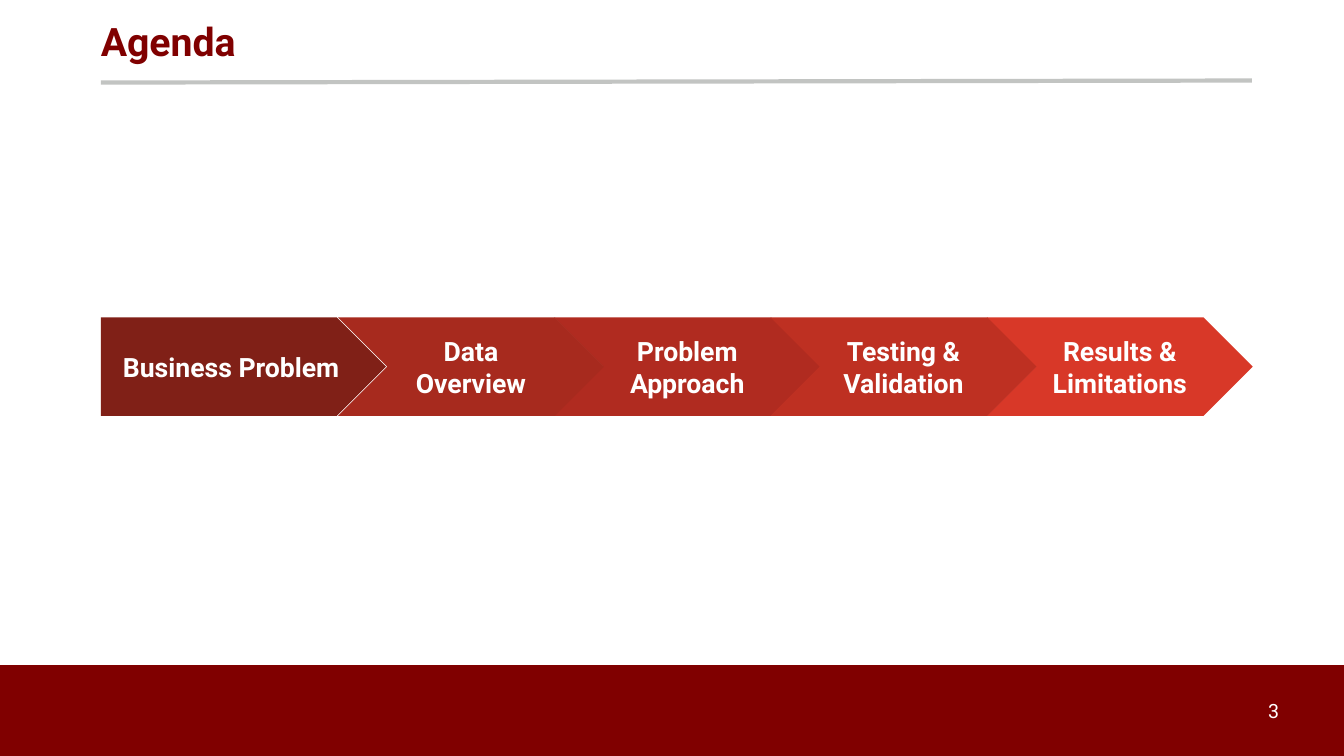
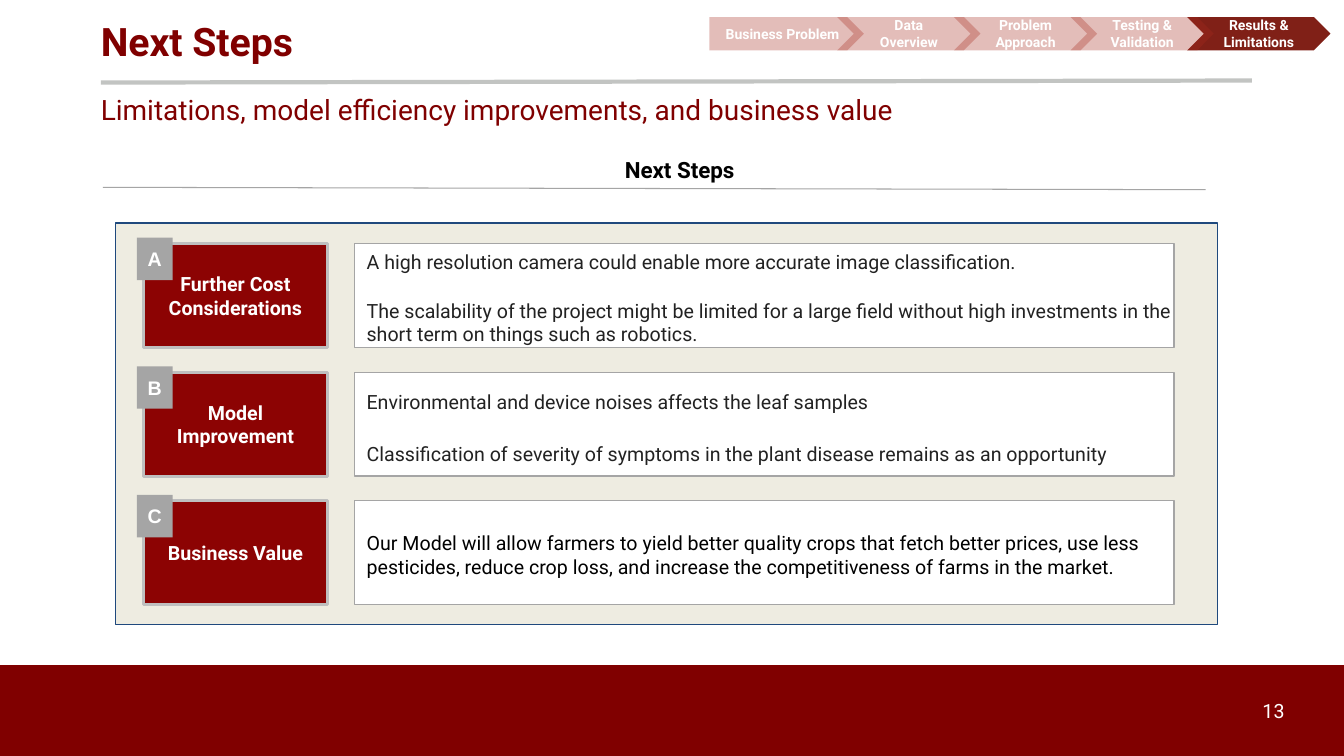
from lxml import etree
from pptx import Presentation
from pptx.dml.color import RGBColor
from pptx.enum.shapes import MSO_CONNECTOR, MSO_SHAPE
from pptx.enum.text import MSO_ANCHOR, PP_ALIGN
from pptx.oxml.ns import qn
from pptx.util import Cm, Pt

MAROON = RGBColor(0x80, 0x00, 0x00)
CRIMSON = RGBColor(0x8C, 0x03, 0x03)
WHITE = RGBColor(0xFF, 0xFF, 0xFF)
BLACK = RGBColor(0x00, 0x00, 0x00)
CHARCOAL = RGBColor(0x22, 0x22, 0x22)
RULE_GREY = RGBColor(0xC2, 0xC4, 0xC2)
EDGE_GREY = RGBColor(0xBF, 0xBF, 0xBF)
MID_GREY = RGBColor(0xA5, 0xA5, 0xA5)
CREAM = RGBColor(0xEE, 0xEC, 0xE1)
NAVY = RGBColor(0x1F, 0x49, 0x7D)
DARK_RED = RGBColor(0x80, 0x20, 0x17)
BRICK = RGBColor(0xA7, 0x2A, 0x1E)
RUST = RGBColor(0xB0, 0x2B, 0x20)
BRIGHT_RUST = RGBColor(0xBE, 0x30, 0x22)
SCARLET = RGBColor(0xD8, 0x38, 0x28)

SLIDE_WIDTH, SLIDE_HEIGHT = 33.87, 19.05
BAND_TOP = 16.76
MARGIN = 2.54

STEPS = ["Business Problem", "Data Overview", "Problem Approach",
         "Testing & Validation", "Results & Limitations"]
ROWS = [
    ("A", "Further Cost Considerations", CHARCOAL, 1.0, [
        "A high resolution camera could enable more accurate image classification.",
        "The scalability of the project might be limited for a large field without "
        "high investments in the short term on things such as robotics."]),
    ("B", "Model Improvement", CHARCOAL, 1.15, [
        "Environmental and device noises affects the leaf samples",
        "Classification of severity of symptoms in the plant disease remains as an "
        "opportunity"]),
    ("C", "Business Value", BLACK, 1.0, [
        "Our Model will allow farmers to yield better quality crops that fetch better "
        "prices, use less pesticides, reduce crop loss, and increase the "
        "competitiveness of farms in the market."]),
]


def set_all(target, formats):
    for name, value in formats.items():
        setattr(target, name, value)


def write_text(shape, paragraphs, size, color, bold=False, font="Roboto",
               align=PP_ALIGN.CENTER, anchor=MSO_ANCHOR.MIDDLE,
               insets=(0.25, 0.13, 0.25, 0.13), spacing=1.0):
    """Fill a shape with paragraphs; insets are left, top, right, bottom in cm."""
    frame = shape.text_frame
    sides = ("margin_left", "margin_top", "margin_right", "margin_bottom")
    set_all(frame, {"word_wrap": True, "vertical_anchor": anchor})
    set_all(frame, dict(zip(sides, map(Cm, insets))))
    for index, text in enumerate(paragraphs):
        para = frame.add_paragraph() if index else frame.paragraphs[0]
        set_all(para, {"alignment": align, "line_spacing": spacing})
        if index:
            para.space_before = Pt(18)
        span = para.add_run()
        span.text = text
        set_all(span.font, {"name": font, "size": Pt(size), "bold": bold})
        span.font.color.rgb = color


def add_panel(shapes, kind, left, top, width, height, fill, edge=None, edge_width=1):
    panel = shapes.add_shape(kind, Cm(left), Cm(top), Cm(width), Cm(height))
    panel.shadow.inherit = False
    panel.fill.solid()
    panel.fill.fore_color.rgb = fill
    if edge is None:
        panel.line.fill.background()
    else:
        panel.line.color.rgb = edge
        panel.line.width = Pt(edge_width)
    return panel


def add_label(page, text, left, top, width, height, size, color, **formats):
    box = page.shapes.add_textbox(Cm(left), Cm(top), Cm(width), Cm(height))
    write_text(box, [text], size, color, **formats)


def add_rule(page, left, top, right, bottom, color, width):
    rule = page.shapes.add_connector(
        MSO_CONNECTOR.STRAIGHT, Cm(left), Cm(top), Cm(right), Cm(bottom))
    rule.line.color.rgb = color
    rule.line.width = Pt(width)
    etree.SubElement(rule._element.spPr, qn("a:effectLst"))


def set_opacity(shape, percent):
    color = shape._element.spPr.find(qn("a:solidFill"))[0]
    etree.SubElement(color, qn("a:alpha"), val=str(percent * 1000))


def add_heading(page, text, top, size, bold):
    add_label(page, text, MARGIN, top, 28.78, 1.57, size, MAROON, bold=bold,
              align=PP_ALIGN.LEFT, insets=(0, 0, 0, 0))


def add_page(deck, title, number):
    """Add a blank page with the shared band, rule, title and page number."""
    page = deck.slides.add_slide(deck.slide_layouts[6])
    add_panel(page.shapes, MSO_SHAPE.RECTANGLE, 0, BAND_TOP, SLIDE_WIDTH,
              SLIDE_HEIGHT - BAND_TOP, MAROON)
    add_rule(page, MARGIN, 2.08, 31.55, 2.03, RULE_GREY, 3)
    add_heading(page, title, 0.25, 28, True)
    add_label(page, str(number), 31.6, 17.6, 0.99, 0.61, 14, WHITE,
              anchor=MSO_ANCHOR.TOP, insets=(0, 0, 0, 0))
    return page


def add_process(page, left, top, height, first_width, chevron_left, chevron_width,
                pitch, size, colors, opacities):
    """Draw the agenda steps as a pentagon followed by evenly spaced chevrons."""
    group = page.shapes.add_group_shape()
    steps = list(enumerate(zip(STEPS, colors, opacities)))
    # Alternate steps lie on top, which shows where translucent tips overlap.
    for index, (text, color, opacity) in steps[::2] + steps[1::2]:
        if index == 0:
            kind, start, width = MSO_SHAPE.PENTAGON, left, first_width
        else:
            kind, width = MSO_SHAPE.CHEVRON, chevron_width
            start = chevron_left + (index - 1) * pitch
        step = add_panel(group.shapes, kind, start, top, width, height, color)
        if opacity < 100:
            set_opacity(step, opacity)
        write_text(step, [text], size, WHITE, bold=True, insets=(0.33,) * 4)


def add_row(page, top, letter, name, color, spacing, paragraphs):
    """Draw one next step: a named block with a letter badge and its details."""
    height = 2.62
    block = add_panel(page.shapes, MSO_SHAPE.RECTANGLE, 3.61, top, 4.65, height,
                      CRIMSON, EDGE_GREY, 2)
    write_text(block, [name], 14, WHITE, bold=True)
    badge = add_panel(page.shapes, MSO_SHAPE.RECTANGLE, 3.45, top - 0.15, 0.9, 1.07,
                      MID_GREY)
    write_text(badge, [letter], 14, WHITE, bold=True, font="Arial")
    details = add_panel(page.shapes, MSO_SHAPE.RECTANGLE, 8.94, top, 20.65, height,
                        WHITE, MID_GREY)
    write_text(details, paragraphs, 14, color, align=PP_ALIGN.LEFT,
               insets=(0.3, 0.3, 0, 0.2), spacing=spacing)


def add_agenda(deck):
    page = add_page(deck, "Agenda", 3)
    add_process(page, MARGIN, 8, 2.48, 7.19, 8.52, 6.7, 5.45, 19,
                [DARK_RED, BRICK, RUST, BRIGHT_RUST, SCARLET], [100] * 5)


def add_next_steps(deck):
    page = add_page(deck, "Next Steps", 13)
    add_heading(page, "Limitations, model efficiency improvements, and business value",
                1.98, 20, False)
    add_panel(page.shapes, MSO_SHAPE.RECTANGLE, 2.9, 5.62, 27.79, 10.12,
              CREAM, NAVY, 0.75)
    for index, row in enumerate(ROWS):
        add_row(page, 6.14 + index * 3.24, *row)
    add_label(page, "Next Steps", 2.59, 3.81, 29.08, 1.63, 16, BLACK, bold=True,
              anchor=MSO_ANCHOR.TOP)
    add_rule(page, 2.59, 4.72, 30.38, 4.78, MID_GREY, 0.75)
    add_process(page, 17.88, 0.43, 0.84, 3.89, 21.1, 3.61, 2.94, 10,
                [BRICK] * 4 + [DARK_RED], [31] * 4 + [100])


def main():
    deck = Presentation()
    set_all(deck, {"slide_width": Cm(SLIDE_WIDTH), "slide_height": Cm(SLIDE_HEIGHT)})
    add_agenda(deck)
    add_next_steps(deck)
    deck.save("out.pptx")


if __name__ == "__main__":
    main()
